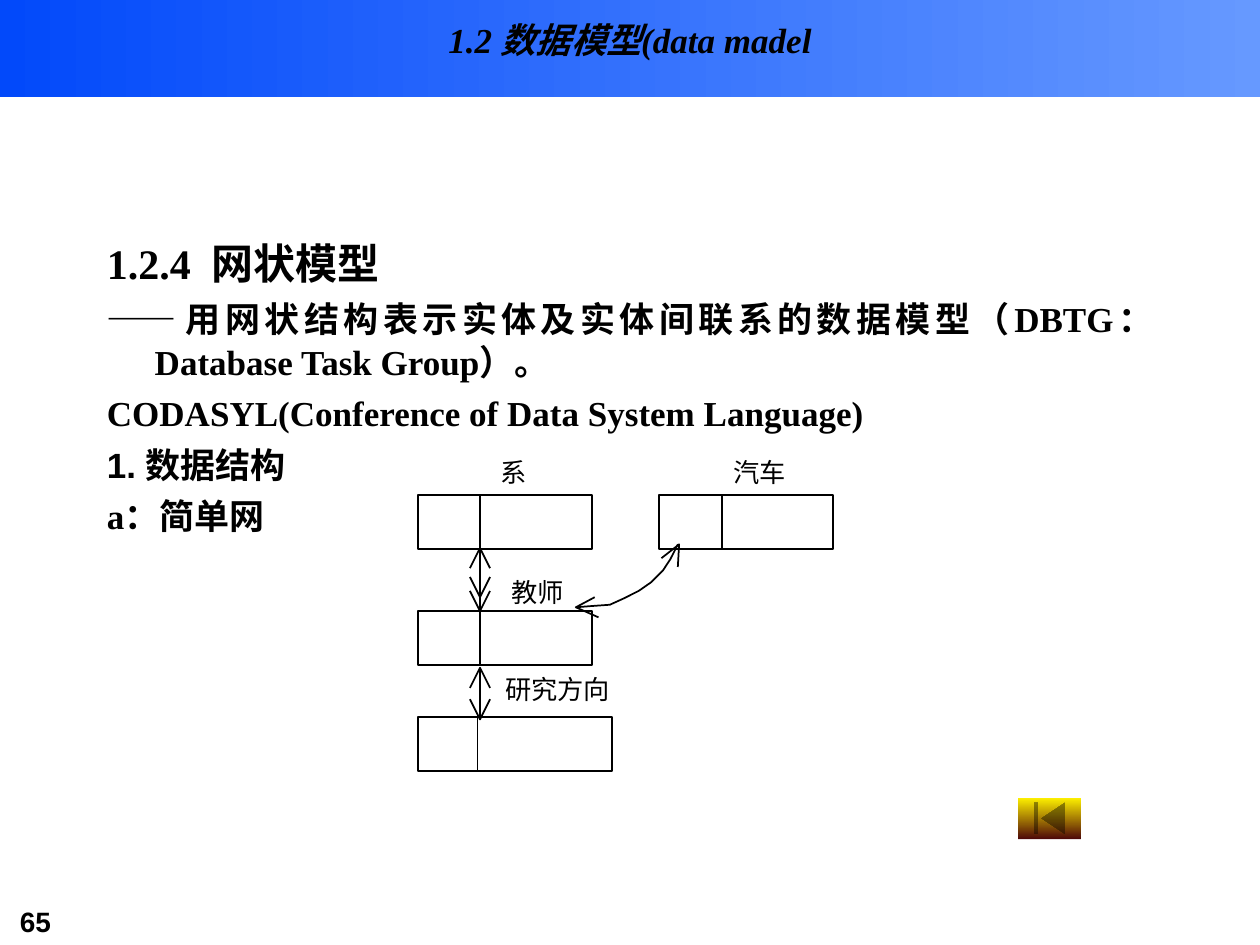
from pptx import Presentation
from pptx.dml.color import RGBColor
from pptx.enum.shapes import MSO_CONNECTOR, MSO_SHAPE
from pptx.enum.text import MSO_ANCHOR, PP_ALIGN
from pptx.oxml.ns import qn
from pptx.util import Inches, Pt
from lxml.etree import SubElement

COLORS = {"ink": "000000", "paper": "FFFFFF", "band_left": "0249FA", "band_right": "6699FF",
          "button_top": "FFF200", "button_bottom": "4D0808"}
SERIF, SANS, CHINESE = "Times New Roman", "Arial", "Noto Sans CJK SC"

TITLE = "1.2 数据模型(data madel"
PAGE_NUMBER = "65"
BODY = [
    ("1.2.4  网状模型", 24, SERIF),
    ("——用网状结构表示实体及实体间联系的数据模型（DBTG：Database Task Group）。", 20, SERIF),
    ("CODASYL(Conference of Data System Language)", 20, SERIF),
    ("1. 数据结构", 20, SANS),
    ("a：简单网", 20, SERIF),
]
RECORD_HEIGHT = 0.43
RECORDS = [
    ("系", 3.97, 3.62, 3.32, 3.93, 1.38, 3.81),
    ("汽车", 5.82, 3.62, 5.23, 3.93, 1.38, 5.73),
    ("教师", 4.06, 4.57, 3.32, 4.85, 1.38, 3.81),
    ("研究方向", 4.01, 5.34, 3.32, 5.69, 1.54, 3.79),
]
LABEL_SIZE = 15
LINK_X = 3.81
LINKS = [(4.35, 4.84), (4.59, 4.74), (5.3, 5.71)]
UP_TIPS = [4.35, 5.3]
DOWN_TIPS = [4.74, 4.85, 5.71]
HEAD_HALF_WIDTH, HEAD_LENGTH = 0.08, 0.16
CURVE = [(4.57, 4.82), (4.7, 4.81), (4.84, 4.8), (4.95, 4.75), (5.07, 4.69),
         (5.17, 4.62), (5.26, 4.53), (5.32, 4.44), (5.38, 4.32)]
CURVE_HEADS = [[(4.72, 4.74), (4.57, 4.82), (4.75, 4.9)],
               [(5.38, 4.5), (5.39, 4.32), (5.25, 4.43)]]


def color(name):
    return RGBColor.from_string(COLORS[name])


def apply(target, **values):
    for name, value in values.items():
        setattr(target, name, value)


def write(paragraph, text, size, font_name, **style):
    run = paragraph.add_run()
    run.text = text
    apply(run.font, size=Pt(size), name=font_name, **style)
    run.font.color.rgb = color("ink")
    SubElement(run.font._element, qn("a:ea"), typeface=CHINESE)


def add_text_box(slide, left, top, width, height, wrap=True, inset=None):
    box = slide.shapes.add_textbox(Inches(left), Inches(top), Inches(width), Inches(height))
    box.text_frame.word_wrap = wrap
    if inset is not None:
        margins = ("margin_left", "margin_top", "margin_right", "margin_bottom")
        apply(box.text_frame, **dict.fromkeys(margins, Inches(inset)))
    return box.text_frame


def outline(shape):
    shape.line.color.rgb = color("ink")
    shape.line.width = Pt(1)


def add_preset(slide, kind, left, top, width, height):
    shape = slide.shapes.add_shape(kind, Inches(left), Inches(top), Inches(width), Inches(height))
    shape.shadow.inherit = False
    return shape


def add_gradient(shape, start, end, angle):
    shape.line.fill.background()
    shape.fill.gradient()
    shape.fill.gradient_angle = angle
    for stop, name, position in zip(shape.fill.gradient_stops, (start, end), (0, 1)):
        stop.color.rgb = color(name)
        stop.position = position


def add_vertical(slide, x, top, bottom):
    connector = slide.shapes.add_connector(
        MSO_CONNECTOR.STRAIGHT, Inches(x), Inches(top), Inches(x), Inches(bottom))
    outline(connector)
    SubElement(connector._element.spPr, qn("a:effectLst"))


def add_polyline(slide, points):
    start, *rest = [(Inches(x), Inches(y)) for x, y in points]
    builder = slide.shapes.build_freeform(*start)
    builder.add_line_segments(rest, close=False)
    shape = builder.convert_to_shape()
    shape.shadow.inherit = False
    shape.fill.background()
    outline(shape)


def add_head(slide, tip, direction):
    base = tip + direction * HEAD_LENGTH
    add_polyline(slide, [(LINK_X - HEAD_HALF_WIDTH, base), (LINK_X, tip),
                         (LINK_X + HEAD_HALF_WIDTH, base)])


def add_title(slide):
    title = slide.shapes.title
    apply(title, left=Inches(0.75), top=Inches(0), width=Inches(8.5), height=Inches(0.63))
    title.text_frame.vertical_anchor = MSO_ANCHOR.MIDDLE
    paragraph = title.text_frame.paragraphs[0]
    paragraph.alignment = PP_ALIGN.CENTER
    write(paragraph, TITLE, 20, SERIF, bold=True, italic=True)


def add_body(slide):
    frame = add_text_box(slide, 0.75, 1.83, 8.5, 4.83)
    for index, (text, size, font_name) in enumerate(BODY):
        paragraph = frame.add_paragraph() if index else frame.paragraphs[0]
        apply(paragraph, alignment=PP_ALIGN.JUSTIFY, line_spacing=Pt(size * 1.22),
              space_before=Pt(5 if index else 0))
        properties = paragraph._p.get_or_add_pPr()
        properties.set("marL", str(Inches(0.38)))
        properties.set("indent", str(-Inches(0.38)))
        write(paragraph, text, size, font_name, bold=True)


def add_diagram(slide):
    for label, label_left, label_top, left, top, width, divider in RECORDS:
        record = add_preset(slide, MSO_SHAPE.RECTANGLE, left, top, width, RECORD_HEIGHT)
        record.fill.solid()
        record.fill.fore_color.rgb = color("paper")
        outline(record)
        add_vertical(slide, divider, top + 0.01, top + RECORD_HEIGHT)
        label_width = len(label) * LABEL_SIZE / 72
        frame = add_text_box(slide, label_left, label_top, label_width, 0.25, wrap=False, inset=0)
        frame.paragraphs[0].line_spacing = Pt(18)
        write(frame.paragraphs[0], label, LABEL_SIZE, CHINESE)
    for top, bottom in LINKS:
        add_vertical(slide, LINK_X, top, bottom)
    for tip in UP_TIPS:
        add_head(slide, tip, 1)
    for tip in DOWN_TIPS:
        add_head(slide, tip, -1)
    for points in [CURVE, *CURVE_HEADS]:
        add_polyline(slide, points)


def main():
    presentation = Presentation()
    apply(presentation, slide_width=Inches(10), slide_height=Inches(7.5))
    slide = presentation.slides.add_slide(presentation.slide_layouts[5])
    band = add_preset(slide, MSO_SHAPE.RECTANGLE, 0, 0, 10, 0.77)
    add_gradient(band, "band_left", "band_right", 0)
    slide.shapes._spTree.insert(2, band._element)
    add_title(slide)
    page_number = add_text_box(slide, 0.06, 7.13, 1.22, 0.37)
    write(page_number.paragraphs[0], PAGE_NUMBER, 16, SANS, bold=True)
    add_body(slide)
    add_diagram(slide)
    button = add_preset(slide, MSO_SHAPE.ACTION_BUTTON_BEGINNING, 8.08, 6.33, 0.5, 0.33)
    add_gradient(button, "button_top", "button_bottom", 270)
    presentation.save("out.pptx")


if __name__ == "__main__":
    main()
